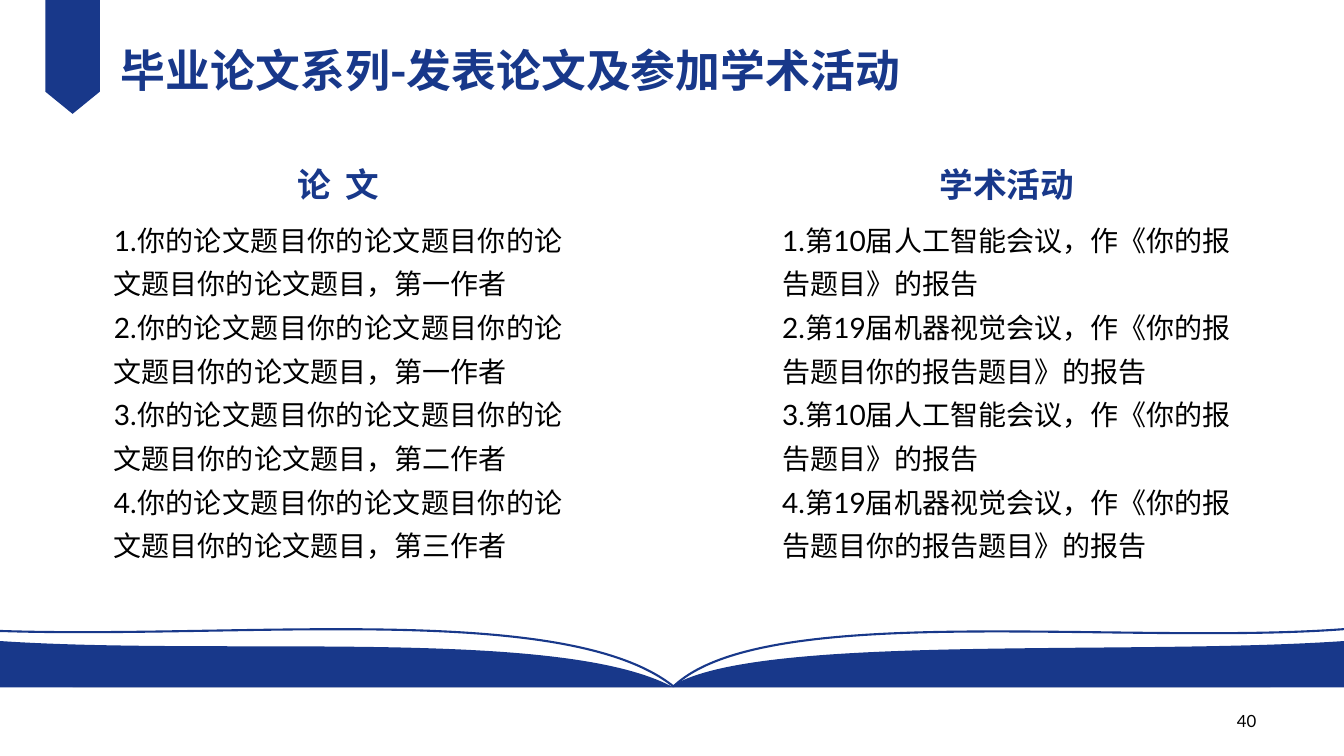
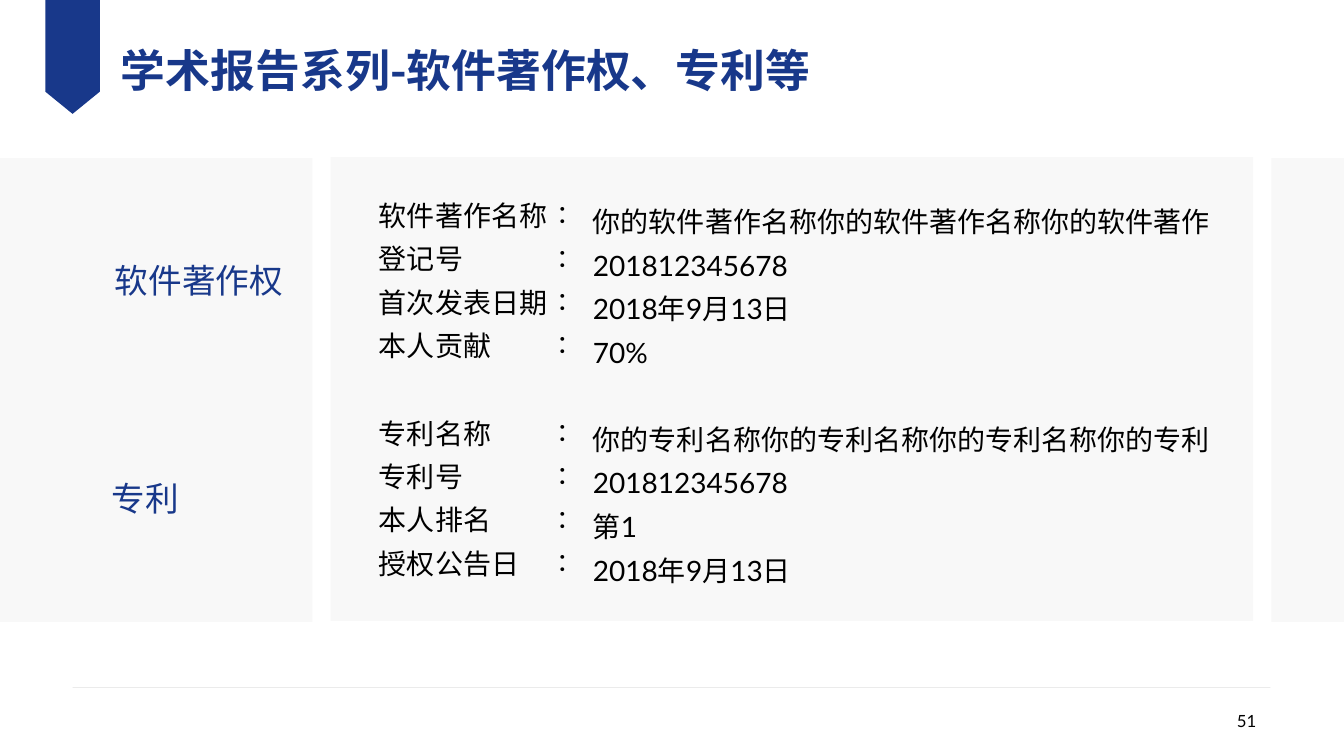
from lxml import etree
from pptx import Presentation
from pptx.dml.color import RGBColor
from pptx.enum.shapes import MSO_CONNECTOR, MSO_SHAPE
from pptx.enum.text import MSO_ANCHOR, PP_ALIGN
from pptx.oxml.ns import qn
from pptx.util import Inches, Pt

LEFT, CENTER, RIGHT, JUSTIFY = PP_ALIGN.LEFT, PP_ALIGN.CENTER, PP_ALIGN.RIGHT, PP_ALIGN.JUSTIFY
TOP, MIDDLE = MSO_ANCHOR.TOP, MSO_ANCHOR.MIDDLE
BLUE, BLACK, PANEL, RULE = "18388A", "000000", "F2F2F2", "BFBFBF"
LATIN, CJK = "Lato", "Noto Sans CJK SC"

PAPERS = {
    "title": "毕业论文系列-发表论文及参加学术活动",
    "number": "40",
    "columns": [
        (1.03, "论  文", [
            "1.你的论文题目你的论文题目你的论文题目你的论文题目，第一作者",
            "2.你的论文题目你的论文题目你的论文题目你的论文题目，第一作者",
            "3.你的论文题目你的论文题目你的论文题目你的论文题目，第二作者",
            "4.你的论文题目你的论文题目你的论文题目你的论文题目，第三作者",
        ]),
        (7.66, "学术活动", [
            "1.第10届人工智能会议，作《你的报告题目》的报告",
            "2.第19届机器视觉会议，作《你的报告题目你的报告题目》的报告",
            "3.第10届人工智能会议，作《你的报告题目》的报告",
            "4.第19届机器视觉会议，作《你的报告题目你的报告题目》的报告",
        ]),
    ],
}
RIGHTS = {
    "title": "学术报告系列-软件著作权、专利等",
    "number": "51",
    "groups": [
        (1.04, "软件著作权", [
            ("软件著作名称", "你的软件著作名称你的软件著作名称你的软件著作"),
            ("登记号", "201812345678"),
            ("首次发表日期", "2018年9月13日"),
            ("本人贡献", "70%"),
        ]),
        (1.01, "专利", [
            ("专利名称", "你的专利名称你的专利名称你的专利名称你的专利"),
            ("专利号", "201812345678"),
            ("本人排名", "第1"),
            ("授权公告日", "2018年9月13日"),
        ]),
    ],
}

# An outline is a list of steps: a point, or (control, control, end) for a curve
RIBBON = [(0.45, 0), (0.99, 0), (0.99, 0.91), (0.72, 1.13), (0.45, 0.91)]
BAND_BOTTOM = 6.82
BAND = [(0, 6.36), ((2.25, 6.51), (5.53, 6.22), (6.66, 6.81)),
        ((7.49, 6.28), (11.14, 6.51), (13.33, 6.36)), (13.33, BAND_BOTTOM), (0, BAND_BOTTOM)]
BOOK_EDGE = [(0, 6.26), ((2.38, 6.34), (5.61, 5.96), (6.68, 6.81)),
             ((7.58, 5.95), (11.15, 6.41), (13.35, 6.24))]

PANEL_HEIGHT = 4.6
PANELS = [(3.28, 12.43, 1.56), (-0.2, 3.1, 1.57), (12.61, 14.01, 1.57)]  # left, right, top
GROUP_TOP, GROUP_PITCH, ROW_PITCH = 1.92, 2.16, 0.43


def color(value):
    return RGBColor.from_string(value)


def set_opacity(properties, percent):
    """Make the first solid colour in a shape's properties partly transparent."""
    rgb = next(properties.iter(qn("a:srgbClr")))
    etree.SubElement(rgb, qn("a:alpha")).set("val", str(percent * 1000))


def style_paragraph(para, size, ink=BLACK, bold=False, face=LATIN, align=LEFT,
                    spacing=1.0, after=0):
    para.alignment = align
    para.line_spacing = spacing
    para.space_after = Pt(after)
    font = para.font
    font.size, font.bold, font.name = Pt(size), bold, face
    font.color.rgb = color(ink)
    properties = para._p.pPr.find(qn("a:defRPr"))
    etree.SubElement(properties, qn("a:ea")).set("typeface", CJK)


def add_text(parent, left, top, width, height, lines, size, heading=None,
             anchor=TOP, side_inset=0.1, wrap=True, **style):
    """Add a text box of equally styled lines, under an optional blue heading."""
    box = parent.shapes.add_textbox(Inches(left), Inches(top), Inches(width), Inches(height))
    frame = box.text_frame
    frame.word_wrap = wrap
    frame.vertical_anchor = anchor
    frame.margin_left = frame.margin_right = Inches(side_inset)
    texts = [heading] + lines if heading else lines
    for index, text in enumerate(texts):
        para = frame.paragraphs[0] if index == 0 else frame.add_paragraph()
        para.text = text
        if heading and index == 0:
            style_paragraph(para, 24, BLUE, bold=True, align=CENTER, spacing=1.3, after=6)
        else:
            style_paragraph(para, size, **style)


def add_outline(page, steps, closed=True):
    """Draw a blue filled outline, or an open blue line, with straight and curved steps."""
    curved = [isinstance(step[0], tuple) for step in steps]
    ends = [step[-1] if bends else step for step, bends in zip(steps, curved)]
    start, *rest = [(Inches(x), Inches(y)) for x, y in ends]
    builder = page.shapes.build_freeform(*start, scale=1.0)
    builder.add_line_segments(rest, close=closed)
    shape = builder.convert_to_shape()
    segments = list(shape._element.iter(qn("a:lnTo")))
    for segment, step, bends in zip(segments, steps[1:], curved[1:]):
        if bends:
            curve = etree.Element(qn("a:cubicBezTo"))
            for x, y in step:
                point = etree.SubElement(curve, qn("a:pt"))
                point.set("x", str(Inches(x) - shape.left))
                point.set("y", str(Inches(y) - shape.top))
            segment.getparent().replace(segment, curve)
    shape.shadow.inherit = False
    if closed:
        shape.fill.solid()
        shape.fill.fore_color.rgb = color(BLUE)
        shape.line.fill.background()
    else:
        shape.fill.background()
        shape.line.color.rgb = color(BLUE)
        shape.line.width = Pt(1.5)


def add_page(deck, content):
    """Add a page with the footer rule, ribbon, title and page number."""
    page = deck.slides.add_slide(deck.slide_layouts[6])
    rule = page.shapes.add_connector(MSO_CONNECTOR.STRAIGHT, Inches(0.72), Inches(BAND_BOTTOM),
                                     Inches(12.6), Inches(BAND_BOTTOM))
    rule.line.color.rgb = color(RULE)
    rule.line.width = Pt(0.25)
    properties = rule._element.spPr
    set_opacity(properties, 47)
    etree.SubElement(properties, qn("a:effectLst"))
    add_outline(page, RIBBON)
    add_text(page, 1.2, 0.26, 8.93, 0.86, [content["title"]], 32, anchor=MIDDLE,
             side_inset=0, ink=BLUE, bold=True, face=CJK)
    add_text(page, 9.56, 6.95, 3, 0.4, [content["number"]], 12, anchor=MIDDLE, align=RIGHT)
    return page


def add_papers_page(deck):
    page = add_page(deck, PAPERS)
    add_outline(page, BAND)
    add_outline(page, BOOK_EDGE, closed=False)
    for left, heading, entries in PAPERS["columns"]:
        add_text(page, left, 1.46, 4.65, 4.52, entries, 20, heading=heading,
                 align=JUSTIFY, spacing=1.3)


def add_rights_page(deck):
    page = add_page(deck, RIGHTS)
    for left, right, top in PANELS:
        panel = page.shapes.add_shape(MSO_SHAPE.RECTANGLE, Inches(left), Inches(top),
                                      Inches(right - left), Inches(PANEL_HEIGHT))
        panel.shadow.inherit = False
        panel.fill.solid()
        panel.fill.fore_color.rgb = color(PANEL)
        set_opacity(panel._element.spPr, 50)
        panel.line.fill.background()
    for index, (name_left, name, rows) in enumerate(RIGHTS["groups"]):
        top = GROUP_TOP + index * GROUP_PITCH
        add_text(page, name_left, top + 0.61, 1.89, 0.5, [name], 24, ink=BLUE, align=JUSTIFY)
        add_text(page, 5.88, top - 0.04, 6.18, 1.81, [value for _, value in rows], 20,
                 side_inset=0, spacing=1.3)
        labels = page.shapes.add_group_shape()
        for row, (label, _) in enumerate(rows):
            row_top = top + row * ROW_PITCH
            add_text(labels, 3.66, row_top, 1.91, 0.44, [label], 20, align=JUSTIFY)
            add_text(page, 5.42, row_top, 0.45, 0.4, ["："], 18, wrap=False)


def main():
    deck = Presentation()
    deck.slide_width, deck.slide_height = Inches(13.33), Inches(7.5)
    add_papers_page(deck)
    add_rights_page(deck)
    deck.save("out.pptx")


if __name__ == "__main__":
    main()
